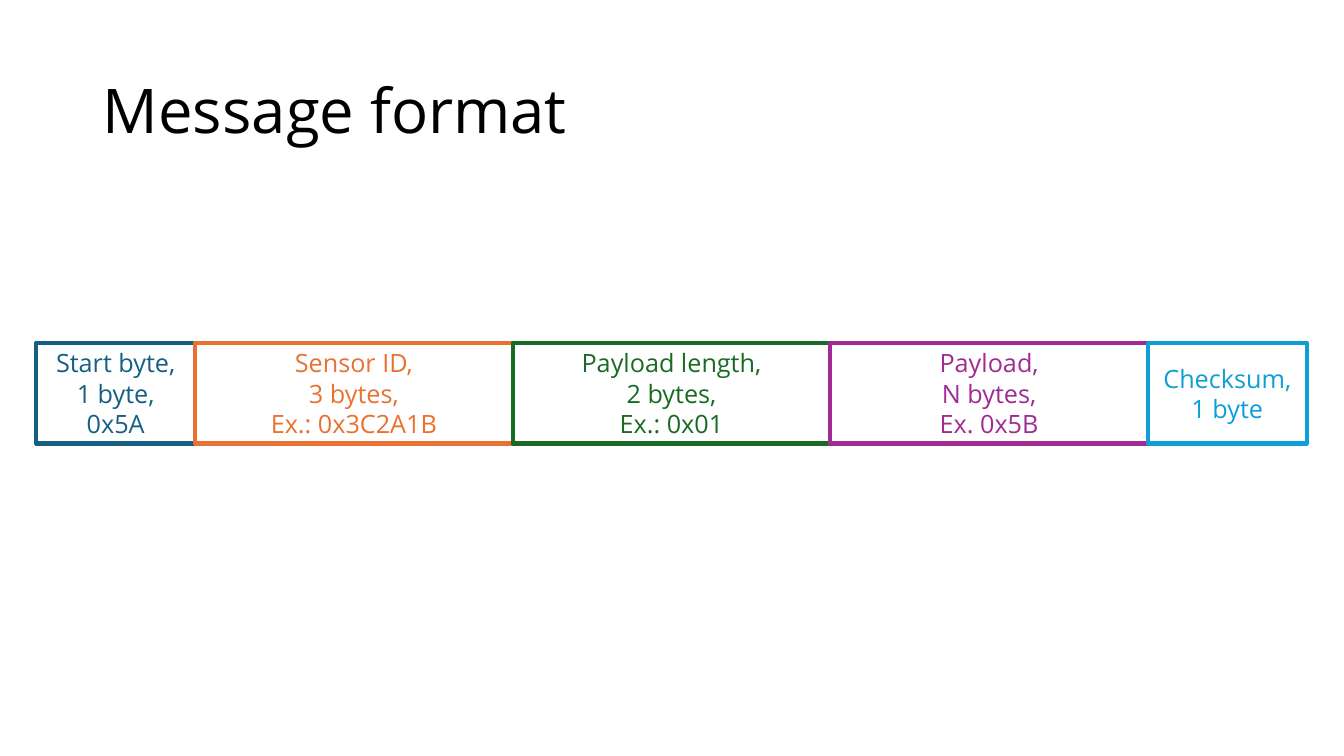
import pptx
import pptx.util
import pptx.dml.color
import pptx.enum.shapes
import pptx.enum.text

Inches = pptx.util.Inches
ALIGN = pptx.enum.text.PP_ALIGN

# Each field: share of the message width, colour, lines of text
FIELDS = [
    (1, "156082", ["Start byte,", "1 byte,", "0x5A"]),
    (2, "E97132", ["Sensor ID,", "3 bytes,", "Ex.: 0x3C2A1B"]),
    (2, "196B24", ["Payload length,", "2 bytes,", "Ex.: 0x01"]),
    (2, "A02B93", ["Payload,", "N bytes,", "Ex. 0x5B"]),
    (1, "0F9ED5", ["Checksum,", "1 byte"]),
]


def rgb(color):
    return pptx.dml.color.RGBColor.from_string(color)


def write(tf, lines, size=18, color="000000", align=ALIGN.LEFT, spacing=1.0):
    """Fill a text frame with one paragraph per line."""
    tf.word_wrap = True
    tf.auto_size = pptx.enum.text.MSO_AUTO_SIZE.NONE
    tf.vertical_anchor = pptx.enum.text.MSO_ANCHOR.MIDDLE
    for i, line in enumerate(lines):
        p = tf.add_paragraph() if i else tf.paragraphs[0]
        p.alignment = align
        p.line_spacing = spacing
        r = p.add_run()
        r.text = line
        r.font.name = "Open Sans"
        r.font.size = pptx.util.Pt(size)
        r.font.color.rgb = rgb(color)


def add_title(s, text, left, top, width, height):
    sp = s.shapes.title
    sp.left, sp.top = Inches(left), Inches(top)
    sp.width, sp.height = Inches(width), Inches(height)
    write(sp.text_frame, [text], size=44, spacing=0.9)


def add_message(s, fields, left, top, width, height):
    """Lay the fields side by side, sized by their shares."""
    unit = width / sum(share for share, _, _ in fields)
    for share, color, lines in fields:
        sp = s.shapes.add_shape(
            pptx.enum.shapes.MSO_SHAPE.RECTANGLE,
            Inches(left), Inches(top), Inches(share * unit), Inches(height))
        sp.shadow.inherit = False
        sp.fill.background()
        sp.line.color.rgb = rgb(color)
        sp.line.width = pptx.util.Pt(3)
        write(sp.text_frame, lines, color=color, align=ALIGN.CENTER)
        left += share * unit


def main():
    prs = pptx.Presentation()
    prs.slide_width, prs.slide_height = Inches(13.33), Inches(7.5)
    # Title Only layout
    s = prs.slides.add_slide(prs.slide_layouts[5])
    add_title(s, "Message format", 0.92, 0.4, 11.5, 1.45)
    add_message(s, FIELDS, 0.36, 3.4, 12.6, 1)
    prs.save("out.pptx")


if __name__ == "__main__":
    main()
